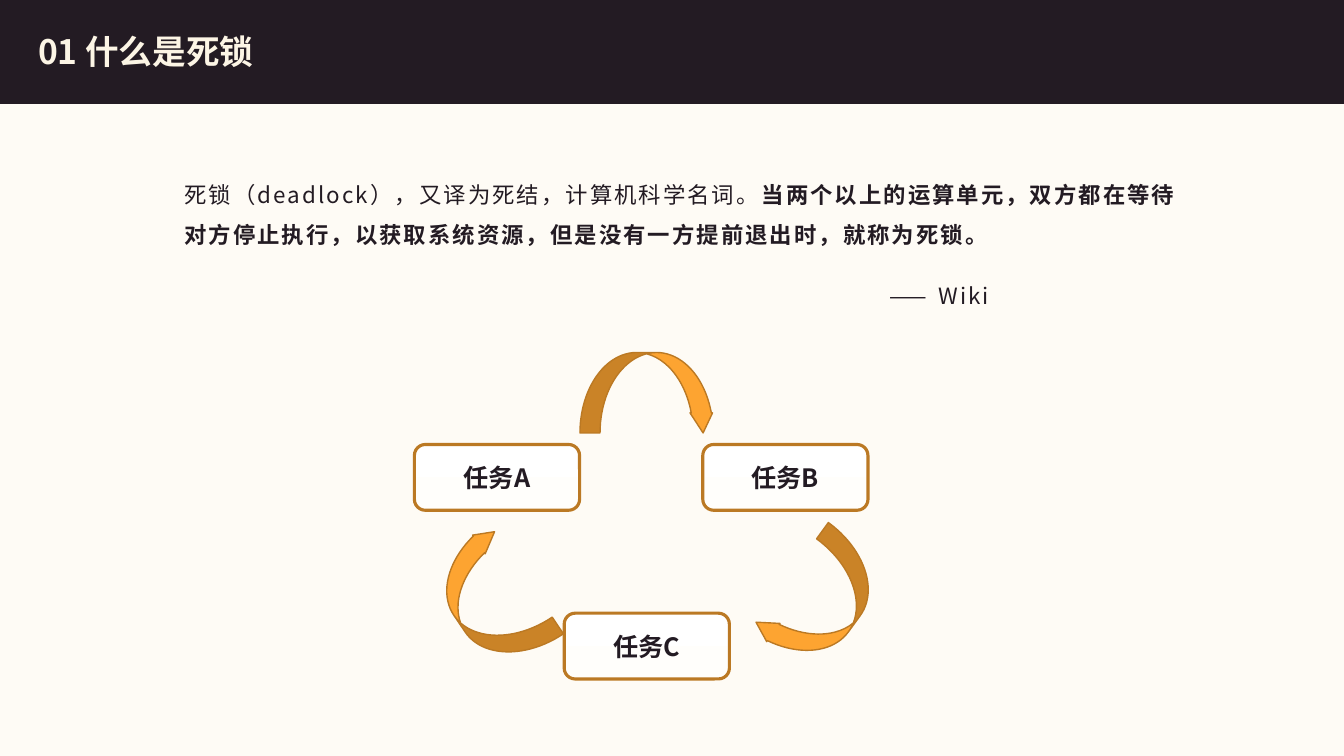
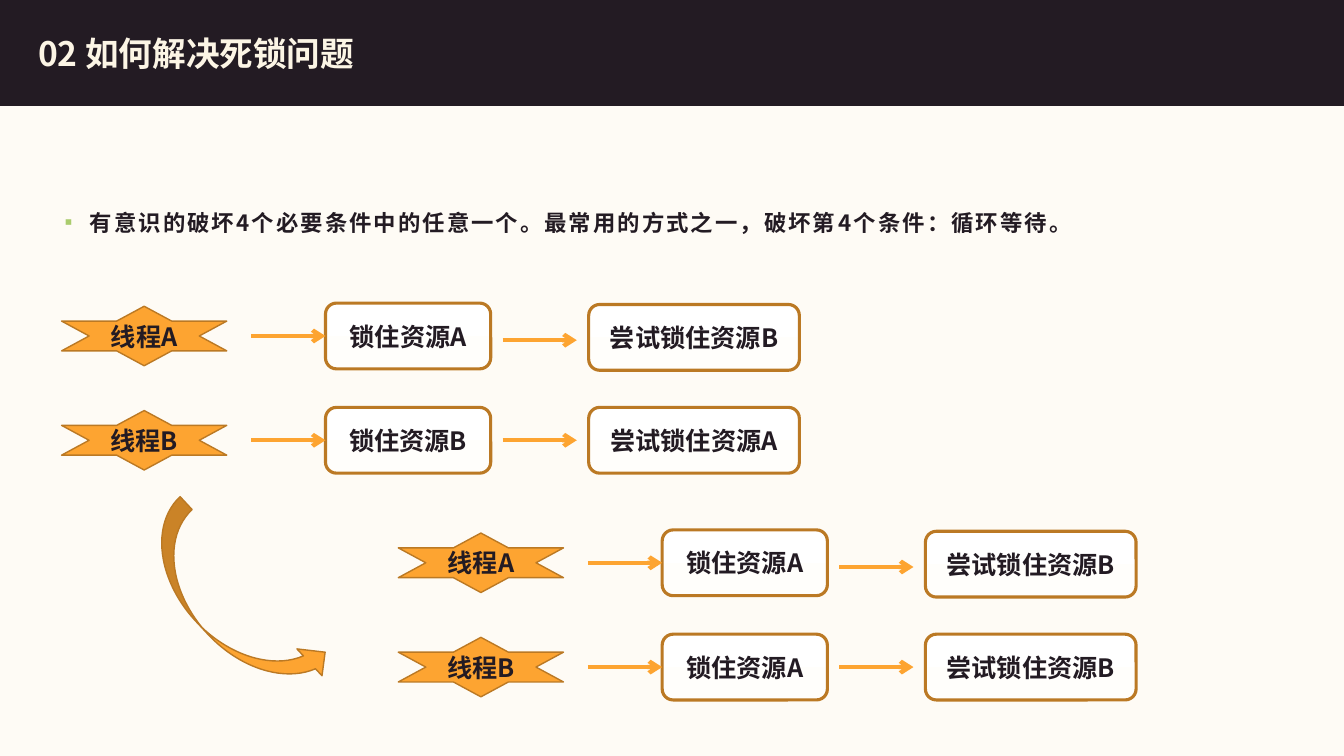
from lxml.etree import SubElement
from pptx import Presentation
from pptx.dml.color import RGBColor
from pptx.enum.lang import MSO_LANGUAGE_ID as Language
from pptx.enum.shapes import MSO_CONNECTOR as Connector, MSO_SHAPE as Preset
from pptx.enum.text import MSO_ANCHOR as Anchor, MSO_AUTO_SIZE as AutoSize, PP_ALIGN as Align
from pptx.oxml.ns import qn
from pptx.util import Pt

INK, CREAM, PAPER = "231B23", "FCF5E5", "FEFBF5"
ORANGE, BROWN, GREEN = "FDA431", "BB7924", "AACC6D"
CARD_TOP, CARD_BOTTOM = "FFFFFF", "FFFEFB"
LABEL_FONT, BODY_FONT = "Noto Sans CJK JP", "Noto Sans CJK SC"
SLIDE_W, SLIDE_H = 960, 540
CARD_W, CARD_H = 118, 47


def color(hex_value):
    return RGBColor.from_string(hex_value)


def place(part, left, top, width, height):
    part.left, part.top, part.width, part.height = Pt(left), Pt(top), Pt(width), Pt(height)


def add_run(paragraph, words, size, font, ink=INK, bold=True, spacing=0):
    run = paragraph.add_run()
    run.text = words
    run.font.size = Pt(size)
    run.font.bold = bold
    run.font.color.rgb = color(ink)
    run.font.name = font
    run.font.language_id = Language.SIMPLIFIED_CHINESE
    properties = run.font._element
    SubElement(properties, qn("a:ea")).set("typeface", font)
    if spacing:
        properties.set("spc", str(round(spacing * 100)))


def add_body_run(paragraph, words, bold=True):
    add_run(paragraph, words, 16, BODY_FONT, bold=bold, spacing=1.5)


def set_paragraph(paragraph, indent=0, bullet=None, before=0):
    properties = paragraph._p.get_or_add_pPr()
    properties.set("marL", str(Pt(indent)))
    properties.set("indent", str(Pt(-indent) if bullet else 0))
    if bullet:
        tint = SubElement(properties, qn("a:buClr"))
        SubElement(tint, qn("a:srgbClr")).set("val", GREEN)
        SubElement(properties, qn("a:buChar")).set("char", bullet)
    else:
        SubElement(properties, qn("a:buNone"))
    paragraph.line_spacing = 1.5
    paragraph.space_before = Pt(before)
    paragraph.alignment = Align.LEFT


def add_preset(slide, preset, left, top, width, height, fill=ORANGE, line=BROWN, weight=1):
    part = slide.shapes.add_shape(preset, Pt(left), Pt(top), Pt(width), Pt(height))
    part.shadow.inherit = False
    part.fill.solid()
    part.fill.fore_color.rgb = color(fill)
    part.line.color.rgb = color(line)
    part.line.width = Pt(weight)
    return part


def add_label(part, words):
    frame = part.text_frame
    frame.word_wrap = False
    frame.vertical_anchor = Anchor.MIDDLE
    paragraph = frame.paragraphs[0]
    paragraph.alignment = Align.CENTER
    add_run(paragraph, words, 18, LABEL_FONT)


def add_card(slide, words, left, top, width=CARD_W):
    card = add_preset(slide, Preset.ROUNDED_RECTANGLE, left, top, width, CARD_H, weight=2.25)
    card.fill.gradient()
    card.fill.gradient_angle = 270
    for stop, tint in zip(card.fill.gradient_stops, (CARD_TOP, CARD_BOTTOM)):
        stop.color.rgb = color(tint)
    add_label(card, words)
    return card


def add_curved_arrow(slide, preset, left, top, width, height, rotation, bends):
    arrow = add_preset(slide, preset, left, top, width, height)
    arrow.rotation = rotation
    for index, bend in enumerate(bends):
        arrow.adjustments[index] = bend


def add_step_arrow(slide, start, end, y, target=None):
    arrow = slide.shapes.add_connector(Connector.STRAIGHT, Pt(start), Pt(y), Pt(end), Pt(y))
    if target is not None:
        arrow.end_connect(target, 1)
    arrow.line.color.rgb = color(ORANGE)
    arrow.line.width = Pt(3)
    SubElement(arrow.line._get_or_add_ln(), qn("a:tailEnd")).set("type", "arrow")
    SubElement(arrow._element.spPr, qn("a:effectLst"))


def add_header(slide, words, top):
    band = add_preset(slide, Preset.RECTANGLE, 0, top, SLIDE_W, 75.5, INK, INK)
    slide.shapes._spTree.insert(2, band._element)
    title = slide.shapes.title
    place(title, 20, top + 16.5, 716, 42.5)
    frame = title.text_frame
    frame.auto_size = AutoSize.NONE
    frame.vertical_anchor = Anchor.MIDDLE
    paragraph = frame.paragraphs[0]
    paragraph.alignment = Align.LEFT
    add_run(paragraph, words, 24, LABEL_FONT, CREAM)


def open_body(slide, left, top, width, height):
    body = slide.placeholders[1]
    place(body, left, top, width, height)
    body.text_frame.auto_size = AutoSize.NONE
    body.text_frame.word_wrap = True
    return body.text_frame


def add_definition(slide, left, top, width, height):
    frame = open_body(slide, left, top, width, height)
    meaning = frame.paragraphs[0]
    set_paragraph(meaning)
    add_body_run(meaning, "死锁（deadlock），又译为死结，计算机科学名词。", bold=False)
    add_body_run(meaning, "当两个以上的运算单元，双方都在等待对方停止执行，以获取系统资源，"
                          "但是没有一方提前退出时，就称为死锁。")
    credit = frame.add_paragraph()
    set_paragraph(credit, indent=504, before=15)
    add_body_run(credit, "—— Wiki", bold=False)


def add_task_cycle(slide, left, top):
    for task, x, y in (("任务A", 0, 85), ("任务B", 206, 85), ("任务C", 107, 205.5)):
        add_card(slide, task, left + x, top + y)
    for x, y, rotation in ((262, 148.5, 36), (27, 148.5, 146), (137.5, 0, 270)):
        add_curved_arrow(slide, Preset.CURVED_LEFT_ARROW, left + x, top + y,
                         57.5, 96, rotation, (0.25, 0.28, 0.25))


def add_thread_lane(slide, left, top, thread, held, wanted, drop):
    middle = top + CARD_H / 2
    star = add_preset(slide, Preset.STAR_6_POINT, left, middle - 21.25, 118, 42.5)
    add_label(star, thread)
    held_card = add_card(slide, held, left + 188.5, top)
    add_card(slide, wanted, left + 376.5, top + drop / 3, 150.5)
    add_step_arrow(slide, left + 135.5, left + 188.5, middle, held_card)
    add_step_arrow(slide, left + 315, left + 368, middle + drop)


def add_thread_pair(slide, left, top, lanes):
    for index, (lane, drop) in enumerate(zip(lanes, (3, 0))):
        add_thread_lane(slide, left, top + index * 74.5, *lane, drop)


def build_definition_slide(deck, layout):
    slide = deck.slides.add_slide(layout)
    add_header(slide, "01 什么是死锁", -1.5)
    add_definition(slide, 124.5, 116, 740, 136)
    add_task_cycle(slide, 296, 232.5)


def build_solution_slide(deck, layout):
    slide = deck.slides.add_slide(layout)
    add_header(slide, "02 如何解决死锁问题", 0)
    advice = open_body(slide, 39, 136, 859, 49).paragraphs[0]
    set_paragraph(advice, indent=18, bullet="▪")
    add_body_run(advice, "有意识的破坏4个必要条件中的任意一个。最常用的方式之一，"
                         "破坏第4个条件：循环等待。")
    first_lane = ("线程A", "锁住资源A", "尝试锁住资源B")
    add_thread_pair(slide, 44, 216.5, (first_lane, ("线程B", "锁住资源B", "尝试锁住资源A")))
    add_thread_pair(slide, 284.5, 378.5, (first_lane, ("线程B", *first_lane[1:])))
    add_curved_arrow(slide, Preset.CURVED_RIGHT_ARROW, 139.5, 350.5, 52.5, 165,
                     317, (0.24, 0.5, 0.25))


def main():
    deck = Presentation()
    deck.slide_width, deck.slide_height = Pt(SLIDE_W), Pt(SLIDE_H)
    backdrop = deck.slide_master.background.fill
    backdrop.solid()
    backdrop.fore_color.rgb = color(PAPER)
    layout = deck.slide_layouts[1]
    build_definition_slide(deck, layout)
    build_solution_slide(deck, layout)
    deck.save("out.pptx")


if __name__ == "__main__":
    main()
